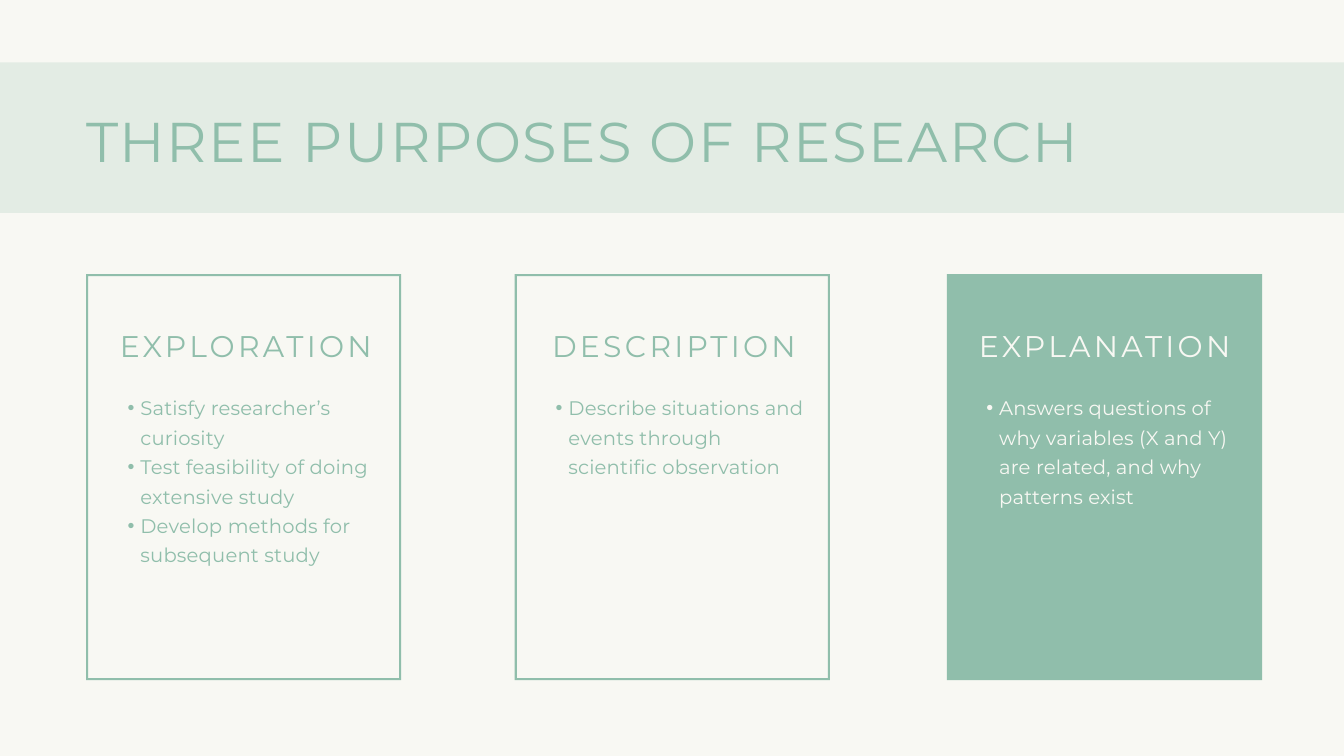
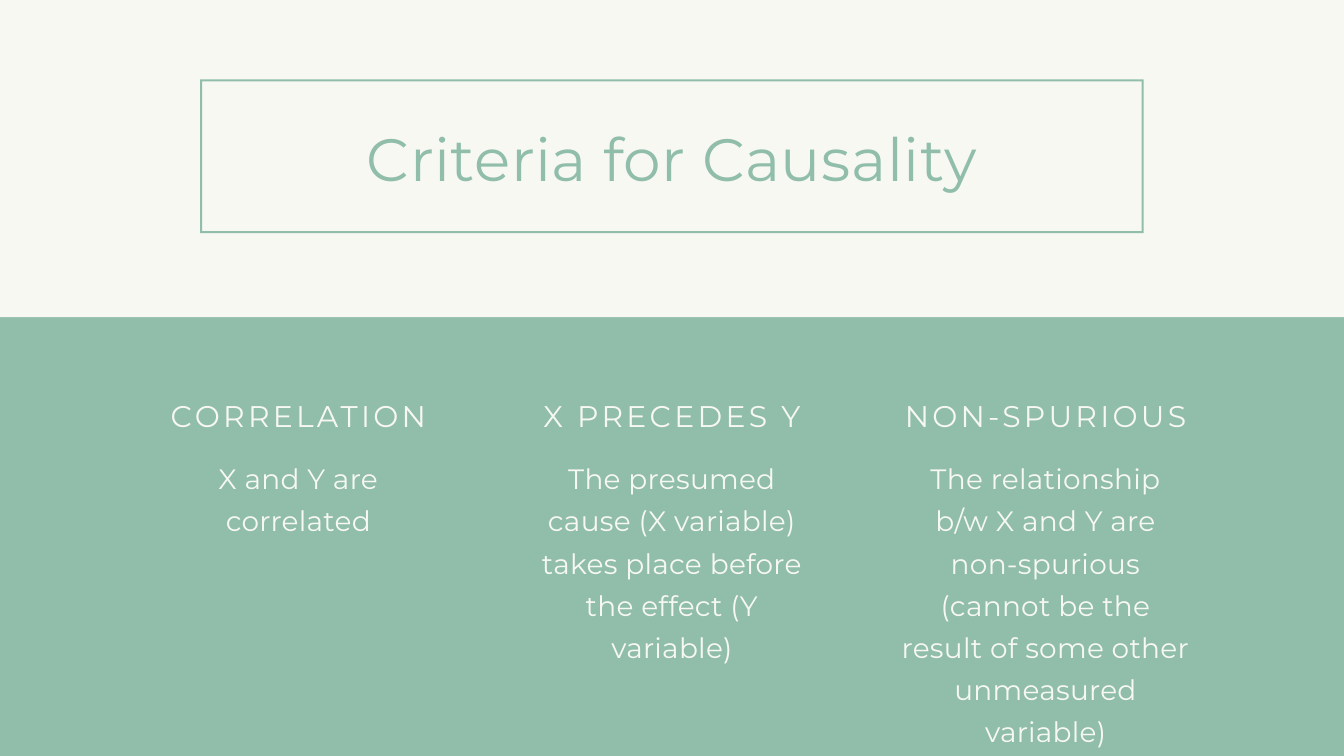
from dataclasses import dataclass
from typing import NamedTuple

from lxml.etree import SubElement
from pptx import Presentation
from pptx.dml.color import RGBColor
from pptx.enum.shapes import MSO_SHAPE as Preset
from pptx.enum.text import MSO_AUTO_SIZE as AutoSize, PP_ALIGN as Align
from pptx.oxml.ns import qn
from pptx.shapes.autoshape import Shape
from pptx.slide import Slide
from pptx.util import Pt

# Shared look: 100 px to the inch
PX = 9144
SLIDE_W, SLIDE_H = 2000, 1125
SAGE = RGBColor(0x90, 0xBE, 0xAB)
CREAM = RGBColor(0xF8, 0xF8, 0xF3)
FONT = "Montserrat"
BORDER = 3
BULLET_MARGIN, BULLET_HANG = 38, 19


class Box(NamedTuple):
    left: int
    top: int
    width: int
    height: int


@dataclass(frozen=True)
class TextStyle:
    size: int
    line_pitch: float
    tracking: float
    align: Align = Align.LEFT
    bulleted: bool = False


@dataclass(frozen=True)
class Purpose:
    heading: str
    points: list[str]
    card_left: int
    text_left: int
    points_height: int
    filled: bool = False


@dataclass(frozen=True)
class Criterion:
    heading: str
    meaning: str
    meaning_height: int


BAND_TITLE = TextStyle(60, 78.6, 1.7)
FRAMED_TITLE = TextStyle(64, 80.6, 0.6, Align.CENTER)
HEADING = TextStyle(32, 48, 3.5, Align.CENTER)
POINTS = TextStyle(21, 31.5, 0.2, bulleted=True)
MEANING = TextStyle(30, 45, 0.3, Align.CENTER)

PURPOSES = [
    Purpose("EXPLORATION",
            ["Satisfy researcher’s curiosity",
             "Test feasibility of doing extensive study",
             "Develop methods for subsequent study"],
            128, 171, 258),
    Purpose("DESCRIPTION",
            ["Describe situations and events through scientific observation"],
            766, 808, 127),
    Purpose("EXPLANATION",
            ["Answers questions of why variables (X and Y) are related, "
             "and why patterns exist"],
            1409, 1449, 171, filled=True),
]

CRITERIA = [
    Criterion("CORRELATION", "X and Y are correlated", 120),
    Criterion("X PRECEDES Y",
              "The presumed cause (X variable) takes place before "
              "the effect (Y variable)", 307),
    Criterion("NON-SPURIOUS",
              "The relationship b/w X and Y are non-spurious (cannot be the "
              "result of some other unmeasured variable)", 370),
]


def scaled(box: Box) -> list[int]:
    return [length * PX for length in box]


def paint(shape: Shape, color: RGBColor) -> None:
    shape.fill.solid()
    shape.fill.fore_color.rgb = color
    shape.line.fill.background()
    shape.shadow.inherit = False


def add_block(slide: Slide, box: Box, color: RGBColor) -> Shape:
    block = slide.shapes.add_shape(Preset.RECTANGLE, *scaled(box))
    paint(block, color)
    return block


def add_frame(slide: Slide, box: Box) -> None:
    """Draw a hollow border: the inner outline runs against the outer one."""
    left, top = box.left, box.top
    right, bottom = left + box.width, top + box.height
    outline = slide.shapes.build_freeform(left, top, scale=float(PX))
    outline.add_line_segments([(left, bottom), (right, bottom), (right, top)])
    left, top, right, bottom = left + BORDER, top + BORDER, right - BORDER, bottom - BORDER
    outline.move_to(right, bottom)
    outline.add_line_segments([(left, bottom), (left, top), (right, top)])
    paint(outline.convert_to_shape(), SAGE)


def add_bullet(paragraph) -> None:
    paragraph.level = 1
    properties = paragraph._p.get_or_add_pPr()
    properties.set("marL", str(BULLET_MARGIN * PX))
    properties.set("indent", str(-BULLET_HANG * PX))
    SubElement(properties, qn("a:buFont")).set("typeface", "Arial")
    SubElement(properties, qn("a:buChar")).set("char", "•")


def add_text(slide: Slide, box: Box, lines: list[str], style: TextStyle,
             color: RGBColor) -> None:
    frame = slide.shapes.add_textbox(*scaled(box)).text_frame
    frame.margin_left = frame.margin_top = frame.margin_right = frame.margin_bottom = 0
    frame.word_wrap = True
    frame.auto_size = AutoSize.SHAPE_TO_FIT_TEXT
    frame.text = "\n".join(lines)
    for paragraph in frame.paragraphs:
        paragraph.alignment = style.align
        paragraph.line_spacing = Pt(style.line_pitch)
        if style.bulleted:
            add_bullet(paragraph)
        for run in paragraph.runs:
            run.font.name = FONT
            run.font.size = Pt(style.size)
            run.font.color.rgb = color
            run._r.get_or_add_rPr().set("spc", str(round(style.tracking * 100)))


def new_slide(deck, background: RGBColor) -> Slide:
    slide = deck.slides.add_slide(deck.slide_layouts[6])
    slide.background.fill.solid()
    slide.background.fill.fore_color.rgb = background
    return slide


def build_purposes(deck) -> None:
    slide = new_slide(deck, CREAM)

    # Translucent title band
    band = add_block(slide, Box(-21, 93, SLIDE_W + 42, 224), SAGE)
    tint = band._element.spPr.find(qn("a:solidFill"))[0]
    SubElement(tint, qn("a:alpha")).set("val", "20000")
    add_text(slide, Box(128, 150, 1678, 105), ["THREE PURPOSES OF RESEARCH"],
             BAND_TITLE, SAGE)

    # One card for each purpose
    for purpose in PURPOSES:
        card = Box(purpose.card_left, 408, 469, 604)
        if purpose.filled:
            add_block(slide, card, SAGE)
        else:
            add_frame(slide, card)
        ink = CREAM if purpose.filled else SAGE
        add_text(slide, Box(purpose.text_left, 474, 390, 61), [purpose.heading],
                 HEADING, ink)
        add_text(slide, Box(purpose.text_left, 581, 390, purpose.points_height),
                 purpose.points, POINTS, ink)


def build_criteria(deck) -> None:
    slide = new_slide(deck, SAGE)

    # Framed title on the light upper part
    add_block(slide, Box(-7, -7, SLIDE_W + 14, 479), CREAM)
    add_frame(slide, Box(298, 118, 1404, 229))
    add_text(slide, Box(355, 176, 1291, 109), ["Criteria for Causality"],
             FRAMED_TITLE, SAGE)

    # Three equal columns, centred on the slide
    width, pitch = 432, 556
    first_left = (SLIDE_W - width) // 2 - pitch
    for column, criterion in enumerate(CRITERIA):
        left = first_left + column * pitch
        add_text(slide, Box(left, 578, width, 61), [criterion.heading], HEADING, CREAM)
        add_text(slide, Box(left, 675, width, criterion.meaning_height),
                 [criterion.meaning], MEANING, CREAM)


def main() -> None:
    deck = Presentation()
    deck.slide_width, deck.slide_height = SLIDE_W * PX, SLIDE_H * PX
    build_purposes(deck)
    build_criteria(deck)
    deck.save("out.pptx")


if __name__ == "__main__":
    main()
